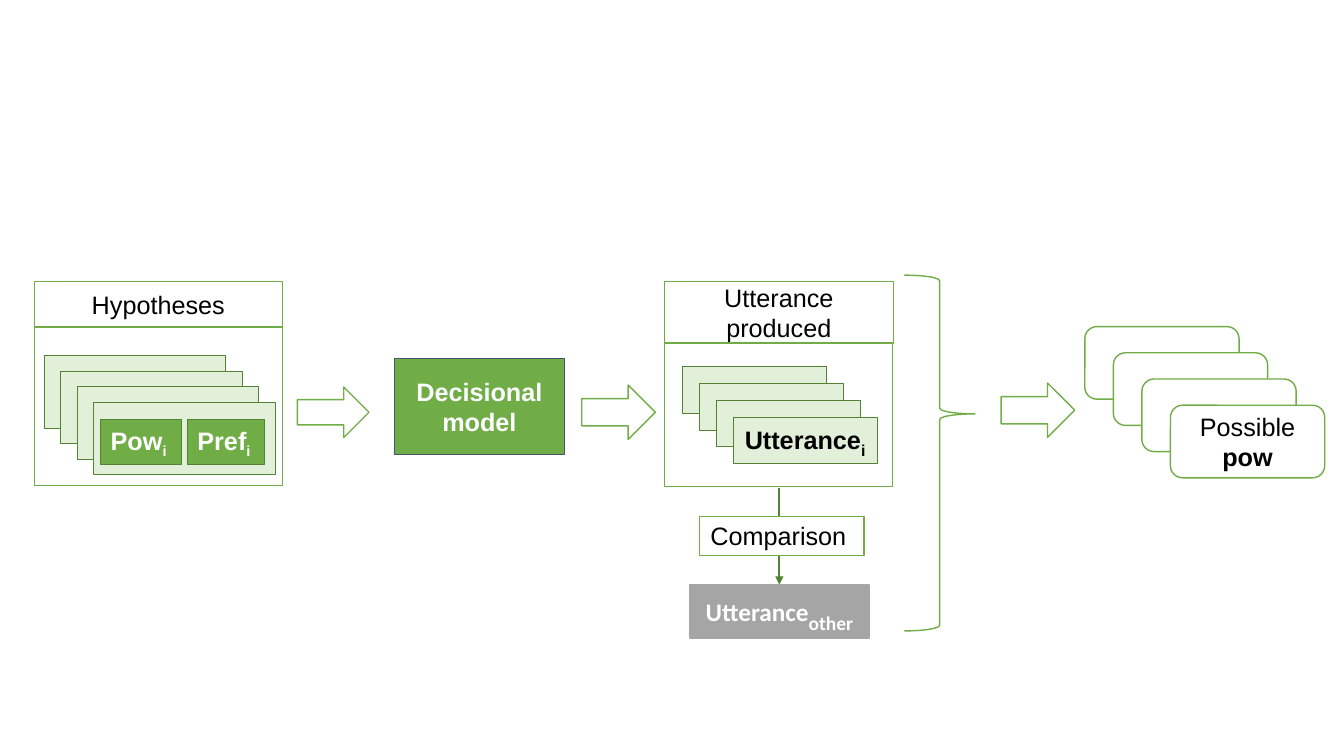
from dataclasses import dataclass

from lxml import etree
from pptx import Presentation
from pptx.dml.color import RGBColor
from pptx.enum.shapes import MSO_CONNECTOR, MSO_SHAPE
from pptx.enum.text import MSO_ANCHOR, PP_ALIGN
from pptx.oxml.ns import qn
from pptx.util import Inches, Pt


@dataclass(frozen=True)
class Theme:
    green: str = "70AD47"
    dark_green: str = "548235"
    pale_green: str = "E2F0D9"
    slate: str = "44546A"
    grey: str = "A5A5A5"
    white: str = "FFFFFF"
    black: str = "000000"
    text_size: float = 18
    index_size: float = 19.5
    other_size: float = 24
    thin: float = 0.75
    medium: float = 1
    thick: float = 1.5


theme = Theme()


def add_box(shapes, kind, place, fill, line, weight=theme.thin):
    box = shapes.add_shape(kind, *[Inches(length) for length in place])
    box.shadow.inherit = False
    if fill:
        box.fill.solid()
        box.fill.fore_color.rgb = RGBColor.from_string(fill)
    else:
        box.fill.background()
    box.line.color.rgb = RGBColor.from_string(line)
    box.line.width = Pt(weight)
    return box


def write(box, runs, color, align=PP_ALIGN.CENTER, inset=0.05, font="Arial"):
    frame = box.text_frame
    frame.word_wrap = True
    frame.vertical_anchor = MSO_ANCHOR.MIDDLE
    frame.margin_left = frame.margin_right = Inches(0.1)
    frame.margin_top = frame.margin_bottom = Inches(inset)
    para = frame.paragraphs[0]
    para.alignment = align
    for text, bold, size, subscript in runs:
        span = para.add_run()
        span.text = text
        span.font.name = font
        span.font.size = Pt(size)
        span.font.bold = bold
        span.font.color.rgb = RGBColor.from_string(color)
        if subscript:
            span.font._element.set("baseline", "-25000")


deck = Presentation()
deck.slide_width = Inches(13.33)
deck.slide_height = Inches(7.5)
page = deck.slides.add_slide(deck.slide_layouts[6])
shapes = page.shapes
size = theme.text_size

for place in [(2.95, 3.84, 0.71, 0.5), (5.77, 3.82, 0.73, 0.54), (9.93, 3.8, 0.73, 0.54)]:
    add_box(shapes, MSO_SHAPE.RIGHT_ARROW, place, theme.white, theme.green, theme.medium)

model = add_box(shapes, MSO_SHAPE.RECTANGLE, (3.91, 3.56, 1.69, 0.95), theme.green, theme.slate)
write(model, [("Decisional model", True, size, False)], theme.white, inset=0.1)

panels = [
    ("Hypotheses", (0.34, 2.79, 2.46, 0.46), (0.34, 3.24, 2.46, 1.58)),
    ("Utterance produced", (6.59, 2.79, 2.27, 0.62), (6.59, 3.4, 2.26, 1.43)),
]
for title, title_place, body_place in panels:
    heading = add_box(shapes, MSO_SHAPE.RECTANGLE, title_place, theme.white, theme.green)
    write(heading, [(title, False, size, False)], theme.black)
    add_box(shapes, MSO_SHAPE.RECTANGLE, body_place, None, theme.green)

stacks = [
    (MSO_SHAPE.RECTANGLE, (0.44, 3.53, 1.8, 0.72), (0.163, 0.153),
     theme.pale_green, theme.dark_green, theme.thin),
    (MSO_SHAPE.RECTANGLE, (6.77, 3.64, 1.43, 0.46), (0.167, 0.167),
     theme.pale_green, theme.dark_green, theme.thin),
    (MSO_SHAPE.ROUNDED_RECTANGLE, (10.76, 3.24, 1.53, 0.72), (0.283, 0.26),
     theme.white, theme.green, theme.medium),
]
groups = []
front_cards = []
for kind, (left, top, width, height), (step_x, step_y), fill, line, weight in stacks:
    group = shapes.add_group_shape()
    for index in range(4):
        place = (left + index * step_x, top + index * step_y, width, height)
        card = add_box(group.shapes, kind, place, fill, line, weight)
    groups.append(group)
    front_cards.append(card)

for label, left, width in [("Pow", 1, 0.8), ("Pref", 1.86, 0.76)]:
    place = (left, 4.16, width, 0.45)
    tag = add_box(groups[0].shapes, MSO_SHAPE.RECTANGLE, place, theme.green, theme.dark_green)
    runs = [(label, True, size, False), ("i", True, size, True)]
    write(tag, runs, theme.white, PP_ALIGN.LEFT, 0.1)

utterance_runs = [("Utterance", True, size, False), ("i", True, theme.index_size, True)]
write(front_cards[1], utterance_runs, theme.black)
possible_runs = [("Possible ", False, size, False), ("pow", True, size, False)]
write(front_cards[2], possible_runs, theme.black, inset=0.1)

arrow = shapes.add_connector(
    MSO_CONNECTOR.STRAIGHT, Inches(7.73), Inches(4.84), Inches(7.73), Inches(5.8)
)
arrow.line.color.rgb = RGBColor.from_string(theme.dark_green)
arrow.line.width = Pt(theme.thick)
etree.SubElement(arrow.line._get_or_add_ln(), qn("a:tailEnd"), type="triangle")
etree.SubElement(arrow._element.spPr, qn("a:effectLst"))

comparison = add_box(shapes, MSO_SHAPE.RECTANGLE, (6.94, 5.12, 1.63, 0.39), theme.white, theme.green)
write(comparison, [("Comparison ", False, size, False)], theme.black)

other = add_box(
    shapes, MSO_SHAPE.RECTANGLE, (6.84, 5.8, 1.78, 0.53), theme.grey, theme.grey, theme.thick
)
other_runs = [("Utterance", True, size, False), ("other", True, theme.other_size, True)]
write(other, other_runs, theme.white, inset=0.1, font="Calibri")

brace = add_box(
    shapes, MSO_SHAPE.RIGHT_BRACE, (8.97, 2.73, 0.7, 3.53), theme.white, theme.green, theme.medium
)
brace.adjustments[0] = 0.08
brace.adjustments[1] = 0.39

deck.save("out.pptx")
